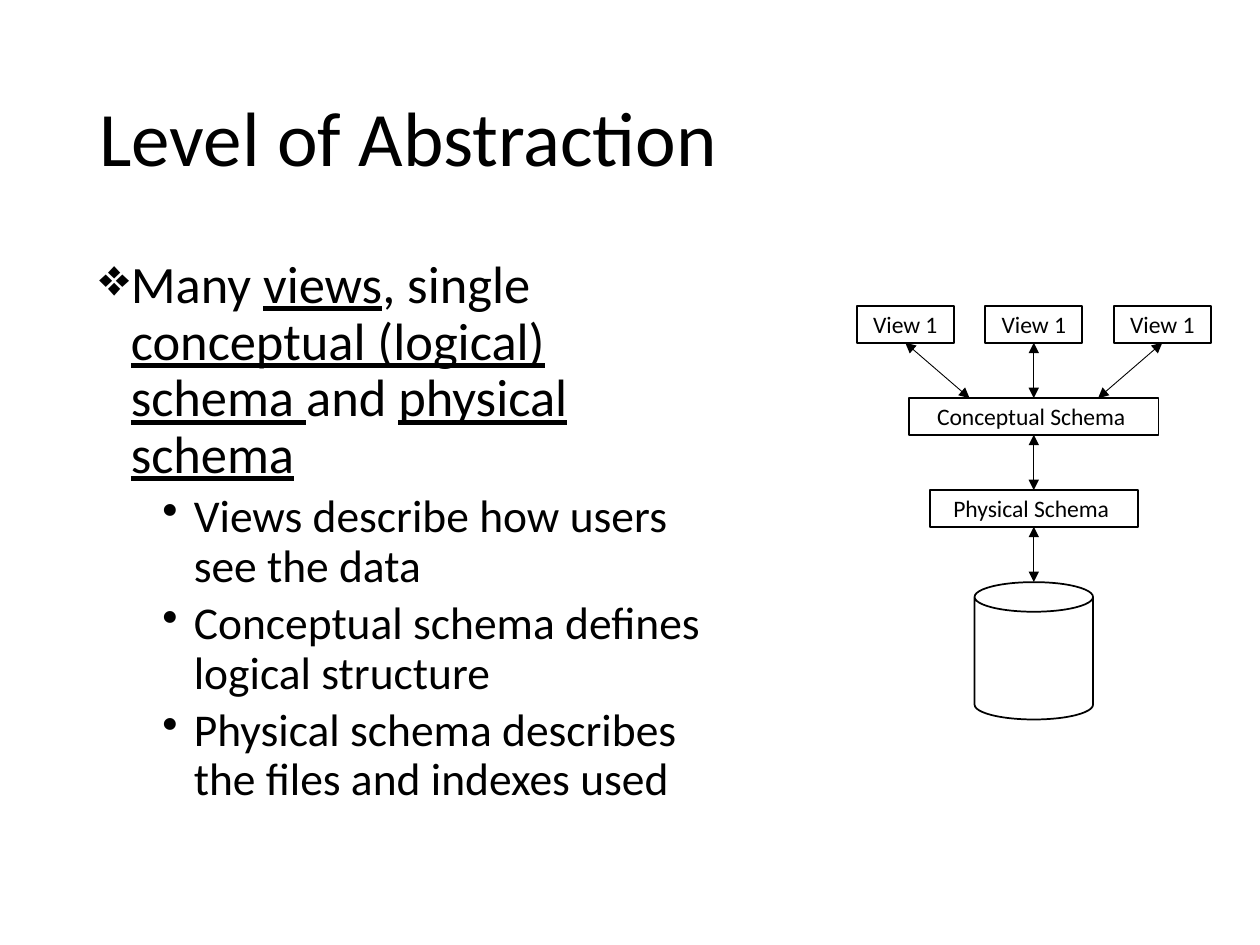
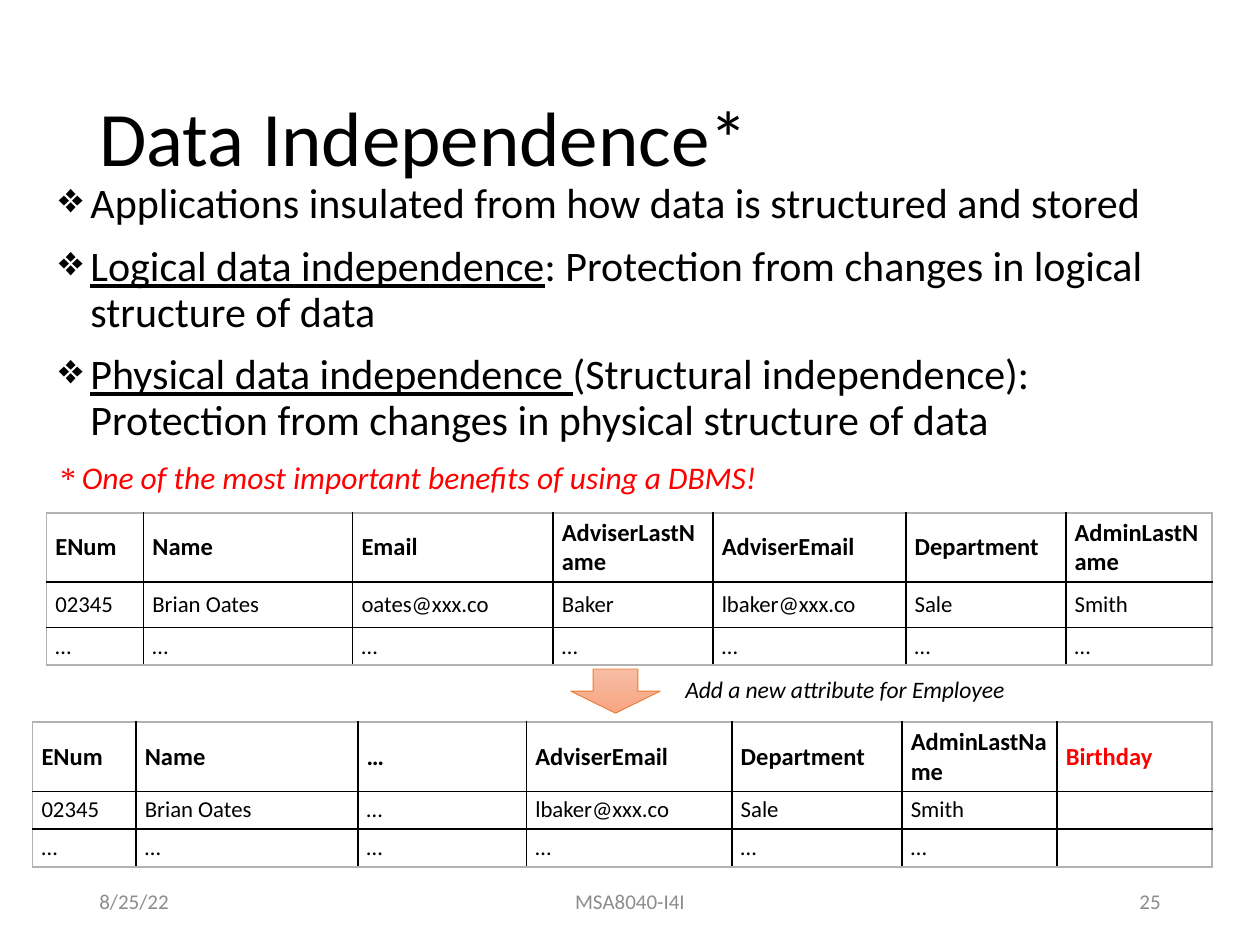
import dataclasses

import pptx
import pptx.dml.color
import pptx.enum.shapes
import pptx.enum.text
import pptx.oxml.ns
import pptx.util
from lxml import etree

Inches = pptx.util.Inches
Pt = pptx.util.Pt
RGB = pptx.dml.color.RGBColor.from_string
qn = pptx.oxml.ns.qn
Shapes = pptx.enum.shapes.MSO_SHAPE
Align = pptx.enum.text.PP_ALIGN
Anchor = pptx.enum.text.MSO_ANCHOR


@dataclasses.dataclass(frozen=True)
class Theme:
    font: str = "Calibri"
    symbol_font: str = "Times New Roman"
    black: str = "000000"
    white: str = "FFFFFF"
    red: str = "FF0000"
    footer_gray: str = "8C8C8C"
    frame_gray: str = "B2B2B2"
    arrow_line: str = "ED7D31"
    arrow_gradient: tuple = ("F7BDA5", "F8A582")
    title: float = 44
    lead: float = 30
    point: float = 26
    statement: float = 24
    remark: float = 18
    table_head: float = 14
    table_body: float = 13
    label: float = 13.5
    footer: float = 12


THEME = Theme()
UNDERLINE = {"underline": True}
TITLE_BOX = (0.69, 0.4, 8.62, 1.45)
FOOTER_TOP, FOOTER_HEIGHT = 6.95, 0.4


def set_values(target, values):
    for name, value in values.items():
        setattr(target, name, value)


def add_runs(paragraph, runs, size, color=THEME.black, **shared):
    """Add (text, font values) pairs that share a size and colour."""
    for text, values in runs:
        run = paragraph.add_run()
        run.text = text
        set_values(run.font, {"name": THEME.font, "size": Pt(size), **shared, **values})
        run.font.color.rgb = RGB(color)


def set_bullet(paragraph, character, left):
    properties = paragraph._p.get_or_add_pPr()
    properties.set("marL", str(Inches(left)))
    properties.set("indent", str(Inches(-0.25)))
    etree.SubElement(properties, qn("a:buChar")).set("char", character)


def add_text_box(slide, box, anchor=Anchor.TOP, wrap=True):
    frame = slide.shapes.add_textbox(*map(Inches, box)).text_frame
    set_values(frame, {"word_wrap": wrap, "vertical_anchor": anchor})
    return frame


def add_title(slide, text):
    paragraph = add_text_box(slide, TITLE_BOX, Anchor.MIDDLE).paragraphs[0]
    paragraph.line_spacing = 0.9
    add_runs(paragraph, [(text, {})], THEME.title)


def add_body(slide, box, items):
    """Items hold runs, size, bullet (or None), level and font colour."""
    frame = add_text_box(slide, box)
    for index, (runs, size, bullet, level, color) in enumerate(items):
        paragraph = frame.add_paragraph() if index else frame.paragraphs[0]
        set_values(paragraph, {
            "level": level,
            "line_spacing": 0.9,
            "space_before": Pt(5 if level else 10),
        })
        if bullet:
            set_bullet(paragraph, bullet, 0.25 + 0.5 * level)
        add_runs(paragraph, runs, size, color)


def add_footers(slide, date, course, number):
    for left, width, text, alignment in (
        (0.69, 2.25, date, Align.LEFT),
        (3.31, 3.38, course, Align.CENTER),
        (7.06, 2.25, number, Align.RIGHT),
    ):
        box = (left, FOOTER_TOP, width, FOOTER_HEIGHT)
        paragraph = add_text_box(slide, box, Anchor.MIDDLE).paragraphs[0]
        paragraph.alignment = alignment
        add_runs(paragraph, [(text, {})], THEME.footer, THEME.footer_gray)


def add_outlined_shape(slide, kind, box, text=""):
    shape = slide.shapes.add_shape(kind, *map(Inches, box))
    shape.shadow.inherit = False
    shape.fill.solid()
    shape.fill.fore_color.rgb = RGB(THEME.white)
    shape.line.color.rgb = RGB(THEME.black)
    shape.line.width = Pt(1)
    if text:
        shape.text_frame.vertical_anchor = Anchor.MIDDLE
        paragraph = shape.text_frame.paragraphs[0]
        paragraph.alignment = Align.CENTER
        add_runs(paragraph, [(text, {})], THEME.label)


def add_double_arrow(slide, start, end):
    connector = slide.shapes.add_connector(
        pptx.enum.shapes.MSO_CONNECTOR.STRAIGHT, *map(Inches, (*start, *end)))
    connector.line.color.rgb = RGB(THEME.black)
    connector.line.width = Pt(0.5)
    line = connector.line._get_or_add_ln()
    for end_name in ("a:headEnd", "a:tailEnd"):
        etree.SubElement(line, qn(end_name)).set("type", "triangle")
    etree.SubElement(connector._element.spPr, qn("a:effectLst"))


def add_schema_diagram(slide, left, top, width):
    """Stack views, conceptual schema, physical schema and storage."""
    box_height, row_pitch = 0.29, 0.73
    view_width, view_pitch = 0.77, 1.02
    center = left + width / 2
    row_tops = [top + row_pitch * row for row in range(4)]

    for column in range(3):
        box = (left + view_pitch * column, top, view_width, box_height)
        add_outlined_shape(slide, Shapes.RECTANGLE, box, "View 1")
    for kind, row, shape_width, height, text in (
        (Shapes.RECTANGLE, 1, 1.98, box_height, "Conceptual Schema "),
        (Shapes.RECTANGLE, 2, 1.65, box_height, "Physical Schema "),
        (Shapes.CAN, 3, 0.94, 1.09, ""),
    ):
        box = (center - shape_width / 2, row_tops[row], shape_width, height)
        add_outlined_shape(slide, kind, box, text)

    for offset in (-view_pitch, 0, view_pitch):
        add_double_arrow(slide, (center + offset, top + box_height),
                         (center + offset / 2, row_tops[1]))
    for row in (1, 2):
        add_double_arrow(slide, (center, row_tops[row + 1]),
                         (center, row_tops[row] + box_height))


def set_cell_borders(cell, colors):
    properties = cell._tc.get_or_add_tcPr()
    for position, (side, color) in enumerate(colors.items()):
        line = etree.Element(qn(f"a:{side}"), w=str(Pt(1)))
        fill = etree.SubElement(line, qn("a:solidFill"))
        etree.SubElement(fill, qn("a:srgbClr")).set("val", color)
        properties.insert(position, line)


def add_record_table(slide, left, top, widths, heights, rows, new_column=None):
    """Draw a table with a gray frame; new_column has its heading in red."""
    last_row, last_column = len(rows) - 1, len(widths) - 1
    box = (left, top, sum(widths), sum(heights))
    table = slide.shapes.add_table(len(rows), len(widths), *map(Inches, box)).table
    for column, width in zip(table.columns, widths):
        column.width = Inches(width)
    for row, height in zip(table.rows, heights):
        row.height = Inches(height)

    for row, texts in enumerate(rows):
        for column, text in enumerate(texts):
            cell = table.cell(row, column)
            set_values(cell, {
                "vertical_anchor": Anchor.MIDDLE,
                "margin_left": Inches(0.07), "margin_right": Inches(0.07),
                "margin_top": Inches(0.04), "margin_bottom": Inches(0.04),
            })
            cell.fill.solid()
            cell.fill.fore_color.rgb = RGB(THEME.white)
            on_frame = {"lnL": column == 0, "lnR": column == last_column,
                        "lnT": row == 0, "lnB": row == last_row}
            set_cell_borders(cell, {
                side: THEME.frame_gray if outer else THEME.black
                for side, outer in on_frame.items()})

            heading = row == 0
            size = THEME.table_head if heading else THEME.table_body
            color = THEME.red if heading and column == new_column else THEME.black
            paragraph = cell.text_frame.paragraphs[0]
            if text:
                add_runs(paragraph, [(text, {})], size, color, bold=heading)
            else:
                ending = etree.SubElement(paragraph._p, qn("a:endParaRPr"))
                ending.set("sz", str(size * 100))


def add_change_note(slide, left, top, text):
    """Draw the down arrow between the tables and the note beside it."""
    box = (left, top, 0.71, 0.35)
    arrow = slide.shapes.add_shape(Shapes.DOWN_ARROW, *map(Inches, box))
    arrow.shadow.inherit = False
    arrow.fill.gradient()
    arrow.fill.gradient_angle = 270
    for stop, color in zip(arrow.fill.gradient_stops, THEME.arrow_gradient):
        stop.color.rgb = RGB(color)
    arrow.line.color.rgb = RGB(THEME.arrow_line)
    arrow.line.width = Pt(0.5)

    frame = add_text_box(slide, (left + 0.81, top, 2.78, 0.33), wrap=False)
    frame.auto_size = pptx.enum.text.MSO_AUTO_SIZE.SHAPE_TO_FIT_TEXT
    add_runs(frame.paragraphs[0], [(text, {"italic": True})], THEME.label)


def build_abstraction_slide(slide):
    add_title(slide, "Level of Abstraction")
    lead = [
        ("Many ", {}), ("views", UNDERLINE), (", single ", {}),
        ("conceptual (logical) schema ", UNDERLINE), ("and ", {}),
        ("physical schema", UNDERLINE),
    ]
    points = (
        "Views describe how users see the data",
        "Conceptual schema defines logical structure",
        "Physical schema describes the files and indexes used",
    )
    add_body(slide, (0.69, 2, 5.1, 4.76), [
        (lead, THEME.lead, "❖", 0, THEME.black),
        *(([(text, {})], THEME.point, "•", 1, THEME.black) for text in points),
    ])
    add_schema_diagram(slide, 6.8, 2.43, 2.81)


def build_independence_slide(slide):
    add_title(slide, "Data Independence*")
    statements = (
        [("Applications insulated from how data is structured and stored", {})],
        [("Logical data independence", UNDERLINE),
         (": Protection from changes in logical structure of data", {})],
        [("Physical data independence ", UNDERLINE),
         ("(Structural independence): Protection from changes in physical "
          "structure of data", {})],
    )
    remark = [
        ("*", {"name": THEME.symbol_font, "italic": True}),
        (" One of the most important benefits of using a DBMS!", {"italic": True}),
    ]
    add_body(slide, (0.37, 1.4, 9.24, 2.57), [
        *((runs, THEME.statement, "❖", 0, THEME.black) for runs in statements),
        (remark, THEME.remark, None, 0, THEME.red),
    ])
    add_footers(slide, "8/25/22", "MSA8040-I4I", "25")
    add_record_table(
        slide, 0.37, 4.07,
        (0.77, 1.66, 1.59, 1.27, 1.53, 1.27, 1.16), (0.55, 0.36, 0.29),
        (("ENum", "Name", "Email", "AdviserLastName", "AdviserEmail",
          "Department", "AdminLastName"),
         ("02345", "Brian Oates", "oates@xxx.co", "Baker", "lbaker@xxx.co",
          "Sale", "Smith"),
         ("…",) * 7))
    add_record_table(
        slide, 0.26, 5.73,
        (0.82, 1.76, 1.34, 1.63, 1.35, 1.23, 1.23), (0.55, 0.3, 0.3),
        (("ENum", "Name", "…", "AdviserEmail", "Department",
          "AdminLastName", "Birthday"),
         ("02345", "Brian Oates", "…", "lbaker@xxx.co", "Sale", "Smith", ""),
         ("…",) * 6 + ("",)),
        new_column=6)
    add_change_note(slide, 4.53, 5.31, "Add a new attribute for Employee")


def main():
    presentation = pptx.Presentation()
    presentation.slide_width = Inches(10)
    presentation.slide_height = Inches(7.5)
    blank_layout = presentation.slide_layouts[6]
    for build_slide in (build_abstraction_slide, build_independence_slide):
        build_slide(presentation.slides.add_slide(blank_layout))
    presentation.save("out.pptx")


if __name__ == "__main__":
    main()
